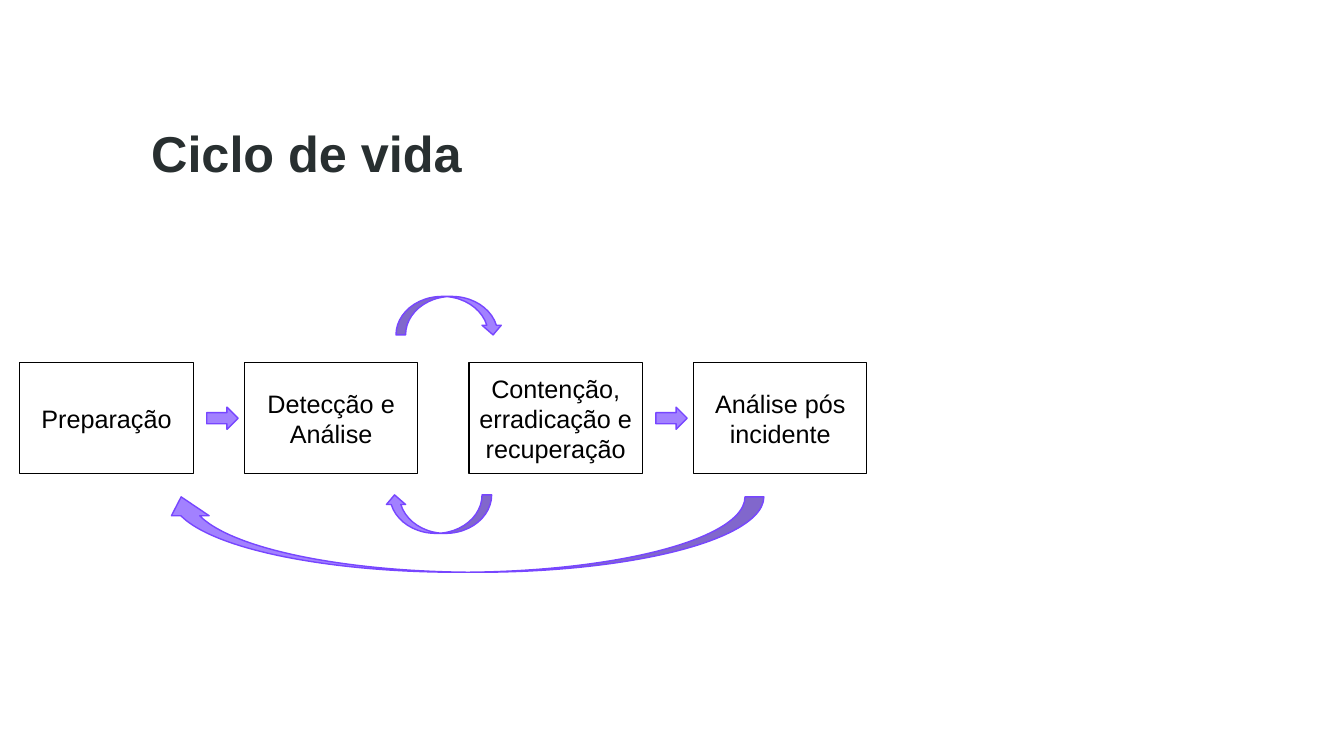
from pptx import Presentation
from pptx.dml.color import RGBColor
from pptx.enum import shapes, text
from pptx.util import Cm, Pt

FONT = "Arial"
WHITE = RGBColor(0xFF, 0xFF, 0xFF)
BLACK = RGBColor(0, 0, 0)
TITLE_COLOR = RGBColor(0x28, 0x2F, 0x30)
ARROW_FILL = RGBColor(0xA2, 0x81, 0xFF)
ARROW_LINE = RGBColor(0x77, 0x46, 0xFF)

STEPS = ["Preparação", "Detecção e Análise",
         "Contenção, erradicação e recuperação", "Análise pós incidente"]
STEP_WIDTH = 4.37
STEP_PITCH = 5.66


def add_styled_shape(page, kind, box, fill, line, weight):
    """Draw a preset shape in a (left, top, width, height) box in cm."""
    shape = page.shapes.add_shape(kind, *map(Cm, box))
    shape.shadow.inherit = False
    shape.fill.solid()
    shape.fill.fore_color.rgb = fill
    shape.line.color.rgb = line
    shape.line.width = Pt(weight)
    return shape


def write_text(shape, words, size, color, bold=False):
    frame = shape.text_frame
    frame.word_wrap = True
    frame.vertical_anchor = text.MSO_ANCHOR.MIDDLE
    para = frame.paragraphs[0]
    para.text = words
    para.font.name = FONT
    para.font.size = Pt(size)
    para.font.bold = bold
    para.font.color.rgb = color
    return para


def add_title(page, box):
    title = page.shapes.add_textbox(*map(Cm, box))
    para = write_text(title, "Ciclo de vida", 36, TITLE_COLOR, bold=True)
    para.line_spacing = 1.5


def add_arrow(page, kind, box, rotation=0):
    arrow = add_styled_shape(page, kind, box, ARROW_FILL, ARROW_LINE, 1)
    arrow.rotation = rotation


def add_life_cycle(page, box):
    left, top, _, height = box
    kinds = shapes.MSO_SHAPE

    # Steps
    for index, name in enumerate(STEPS):
        step_box = (left + index * STEP_PITCH, top, STEP_WIDTH, height)
        step = add_styled_shape(page, kinds.RECTANGLE, step_box,
                                WHITE, BLACK, 0.75)
        para = write_text(step, name, 18, BLACK)
        para.alignment = text.PP_ALIGN.CENTER

    # Straight arrows after the first and third steps
    for index in (0, 2):
        arrow_left = left + index * STEP_PITCH + STEP_WIDTH + 0.34
        add_arrow(page, kinds.RIGHT_ARROW,
                  (arrow_left, top + (height - 0.56) / 2, 0.79, 0.56))

    # Curved arrows: onward above, back below, and back to the start
    for across, down, width, tall, rotation in [
            (9.48, -1.67, 2.69, 0.97, 0),
            (9.2, 3.33, 2.69, 0.97, 180),
            (3.59, 3.38, 15.16, 1.9, 180)]:
        add_arrow(page, kinds.CURVED_DOWN_ARROW,
                  (left + across, top + down, width, tall), rotation)


def main():
    deck = Presentation()
    deck.slide_width = Cm(33.87)
    deck.slide_height = Cm(19.05)
    page = deck.slides.add_slide(deck.slide_layouts[6])
    add_title(page, (3.56, 2.46, 16.76, 1.98))
    add_life_cycle(page, (0.5, 9.14, 21.35, 2.8))
    deck.save("out.pptx")


if __name__ == "__main__":
    main()
